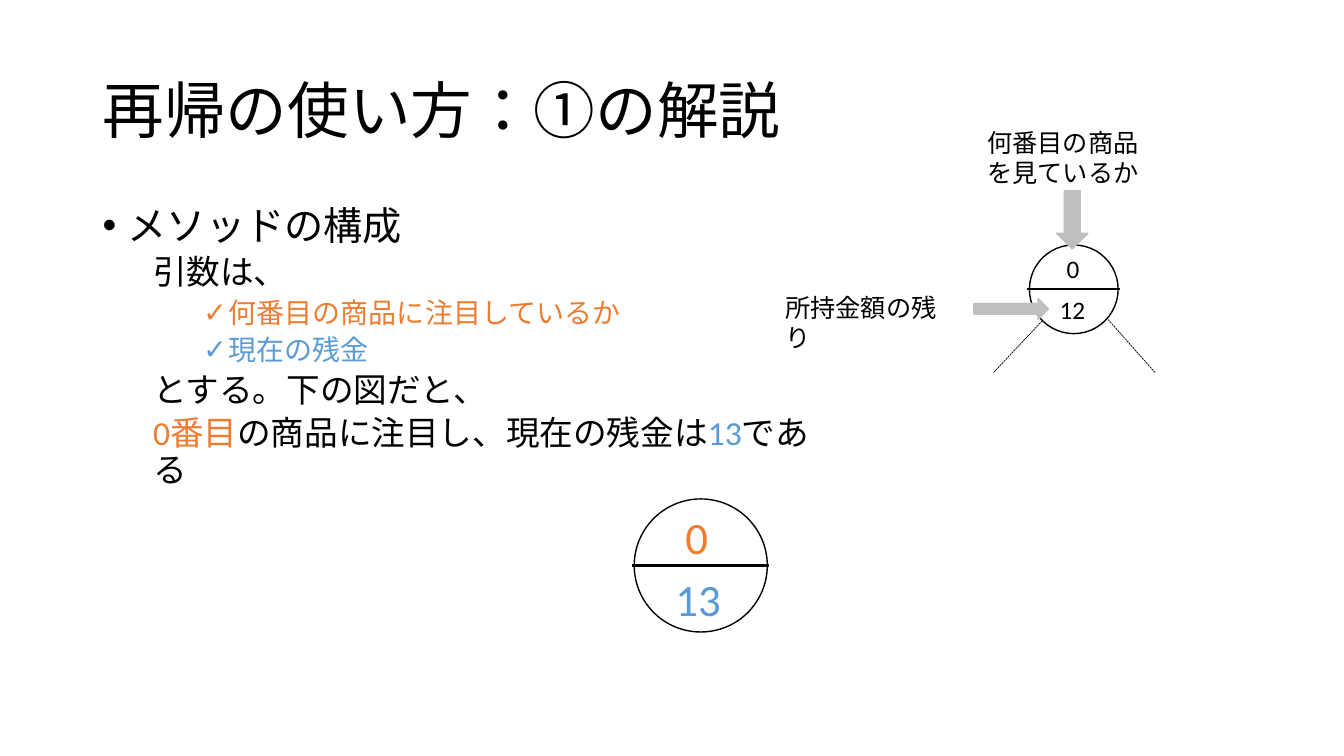
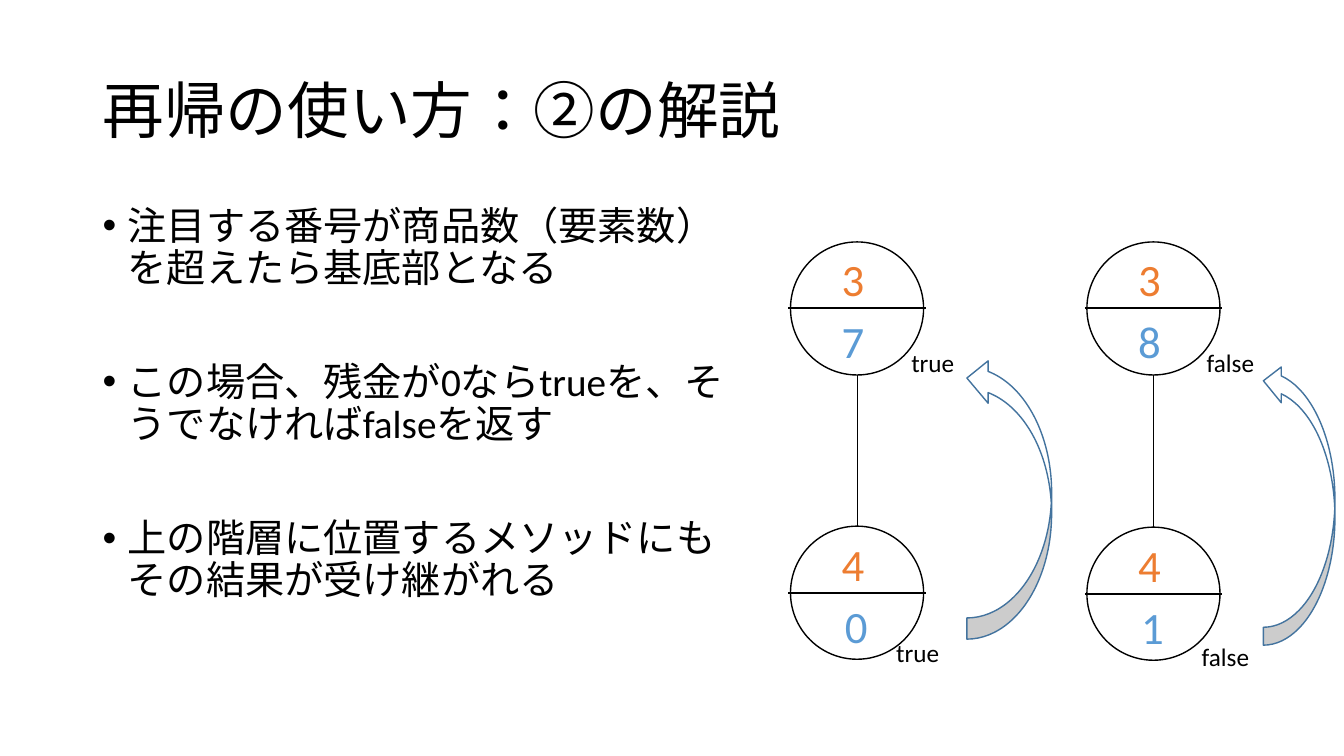
from dataclasses import dataclass

from lxml.etree import SubElement
from pptx import Presentation
from pptx.dml.color import RGBColor as Color
from pptx.enum.dml import MSO_LINE_DASH_STYLE as Dash
from pptx.enum.lang import MSO_LANGUAGE_ID as Language
from pptx.enum.shapes import MSO_CONNECTOR as Connector, MSO_SHAPE as Shape
from pptx.enum.text import MSO_ANCHOR as Anchor, PP_ALIGN as Align
from pptx.oxml.ns import qn
from pptx.util import Inches, Pt


@dataclass(frozen=True)
class Theme:
    font: str = "Calibri"
    black: Color = Color.from_string("000000")
    white: Color = Color.from_string("FFFFFF")
    orange: Color = Color.from_string("ED7D31")
    blue: Color = Color.from_string("5B9BD5")
    gray: Color = Color.from_string("BFBFBF")
    outline: Color = Color.from_string("43739E")
    title: int = 44
    topic: int = 28
    detail: int = 24
    check: int = 20
    number: int = 32
    label: int = 18


theme = Theme()
plain = {"size": theme.label}
centered_title = {"size": theme.title, "line_spacing": 0.9}
topic = {"size": theme.topic, "line_spacing": 0.9, "space_before": Pt(10),
         "margin": 0.25, "indent": -0.25, "bullet": "•"}
spaced_topic = {**topic, "space_before": Pt(51)}
detail = {"size": theme.detail, "line_spacing": 0.9, "space_before": Pt(5), "margin": 0.5}
check = {**detail, "size": theme.check, "margin": 1.25, "indent": -0.25, "bullet": "✓"}


def add_text(slide, bounds, paragraphs, anchor=Anchor.TOP):
    box = slide.shapes.add_textbox(*map(Inches, bounds))
    frame = box.text_frame
    frame.word_wrap = True
    frame.vertical_anchor = anchor
    for index, (style, spans) in enumerate(paragraphs):
        para = frame.paragraphs[0] if index == 0 else frame.add_paragraph()
        for name in ("alignment", "line_spacing", "space_before"):
            if name in style:
                setattr(para, name, style[name])
        properties = para._p.get_or_add_pPr()
        properties.set("marL", str(Inches(style.get("margin", 0))))
        properties.set("indent", str(Inches(style.get("indent", 0))))
        if "bullet" in style:
            SubElement(properties, qn("a:buFont"), typeface="Arial")
            SubElement(properties, qn("a:buChar"), char=style["bullet"])
        font_values = {"name": theme.font, "size": Pt(style["size"]),
                       "language_id": Language.JAPANESE}
        for text, color in spans:
            span = para.add_run()
            span.text = text
            for name, value in font_values.items():
                setattr(span.font, name, value)
            span.font.color.rgb = color


def add_line(slide, start, end, width, dash=None):
    line = slide.shapes.add_connector(Connector.STRAIGHT, *map(Inches, (*start, *end)))
    for name, value in {"width": Pt(width), "dash_style": dash}.items():
        setattr(line.line, name, value)
    line.line.color.rgb = theme.black
    SubElement(line._element.spPr, qn("a:effectLst"))


deck = Presentation()
deck.slide_width, deck.slide_height = Inches(13.33), Inches(7.5)
blank = deck.slide_layouts[6]

method_body = [
    (topic, [("メソッドの構成", theme.black)]),
    (detail, [("引数は、", theme.black)]),
    (check, [("何番目の商品に注目しているか", theme.orange)]),
    (check, [("現在の残金", theme.blue)]),
    (detail, [("とする。下の図だと、", theme.black)]),
    (detail, [("0番目", theme.orange), ("の商品に注目し、現在の残金は", theme.black),
              ("13", theme.blue), ("である", theme.black)]),
]
base_body = [
    (topic, [("注目する番号が商品数（要素数）を超えたら基底部となる", theme.black)]),
    (spaced_topic, [("この場合、残金が0ならtrueを、そうでなければfalseを返す", theme.black)]),
    (spaced_topic, [("上の階層に位置するメソッドにもその結果が受け継がれる", theme.black)]),
]

slides = []
for title, body_width, body in (
    ("再帰の使い方：①の解説", 7.37, method_body),
    ("再帰の使い方：②の解説", 6.46, base_body),
):
    slide = deck.slides.add_slide(blank)
    add_text(slide, (0.92, 0.4, 11.5, 1.45), [(centered_title, [(title, theme.black)])],
             Anchor.MIDDLE)
    add_text(slide, (0.92, 2, body_width, 4.76), body)
    slides.append(slide)
method_slide, base_slide = slides

large = {"diameter": 1.32, "size": theme.number, "height": 0.64,
         "colors": (theme.orange, theme.blue)}
small = {"diameter": 0.88, "size": theme.label, "height": 0.4,
         "colors": (theme.black, theme.black)}
nodes = [
    (method_slide, large, 6.29, 4.95, ("0", 0.41, 0.06), ("13", 0.31, 0.67)),
    (method_slide, small, 10.21, 2.43, ("0", 0.27, 0.03), ("12", 0.2, 0.44)),
]
for left, child_top, balance, result in ((10.78, 5.23, "8", "1"), (7.84, 5.22, "7", "0")):
    nodes.append((base_slide, large, left, 2.4, ("3", 0.41, 0.05), (balance, 0.41, 0.66)))
    nodes.append((base_slide, large, left, child_top, ("4", 0.41, 0.06), (result, 0.44, 0.67)))
    center = left + large["diameter"] / 2
    add_line(base_slide, (center, 2.4 + large["diameter"]), (center, child_top), 0.5)

for slide, kind, left, top, *values in nodes:
    diameter = kind["diameter"]
    circle = slide.shapes.add_shape(Shape.OVAL, *map(Inches, (left, top, diameter, diameter)))
    circle.shadow.inherit = False
    circle.fill.solid()
    circle.fill.fore_color.rgb = theme.white
    circle.line.color.rgb = theme.black
    circle.line.width = Pt(1)
    middle = top + diameter / 2
    add_line(slide, (left - 0.02, middle), (left + diameter + 0.02, middle), 1.5)
    for (text, across, down), color in zip(values, kind["colors"]):
        add_text(slide, (left + across, top + down, 1.02, kind["height"]),
                 [({"size": kind["size"]}, [(text, color)])])

for start, end in (((10.34, 3.18), (9.85, 3.7)), ((10.99, 3.17), (11.46, 3.7))):
    add_line(method_slide, start, end, 0.5, Dash.SQUARE_DOT)

for slide, bounds, text, style in (
    (method_slide, (9.45, 1.21, 1.94, 0.71), "何番目の商品を見ているか",
     {**plain, "alignment": Align.RIGHT}),
    (method_slide, (7.69, 2.85, 1.94, 0.4), "所持金額の残り", plain),
    (base_slide, (8.79, 6.27, 1.04, 0.4), "true", plain),
    (base_slide, (11.82, 6.31, 1.04, 0.4), "false", plain),
    (base_slide, (8.94, 3.4, 1.04, 0.4), "true", plain),
    (base_slide, (11.87, 3.4, 1.04, 0.4), "false", plain),
):
    add_text(slide, bounds, [(style, [(text, theme.black)])])

for slide, kind, bounds, fill, outline, rotation in (
    (method_slide, Shape.DOWN_ARROW, (10.48, 1.89, 0.31, 0.58), theme.gray, theme.gray, 0),
    (method_slide, Shape.RIGHT_ARROW, (9.66, 2.96, 0.74, 0.21), theme.gray, theme.gray, 0),
    (base_slide, Shape.CURVED_RIGHT_ARROW, (9.59, 3.54, 0.84, 2.8),
     theme.white, theme.outline, 180),
    (base_slide, Shape.CURVED_RIGHT_ARROW, (12.53, 3.6, 0.71, 2.8),
     theme.white, theme.outline, 180),
):
    arrow = slide.shapes.add_shape(kind, *map(Inches, bounds))
    arrow.shadow.inherit = False
    arrow.rotation = rotation
    arrow.fill.solid()
    arrow.fill.fore_color.rgb = fill
    arrow.line.color.rgb = outline
    arrow.line.width = Pt(1)

deck.save("out.pptx")
